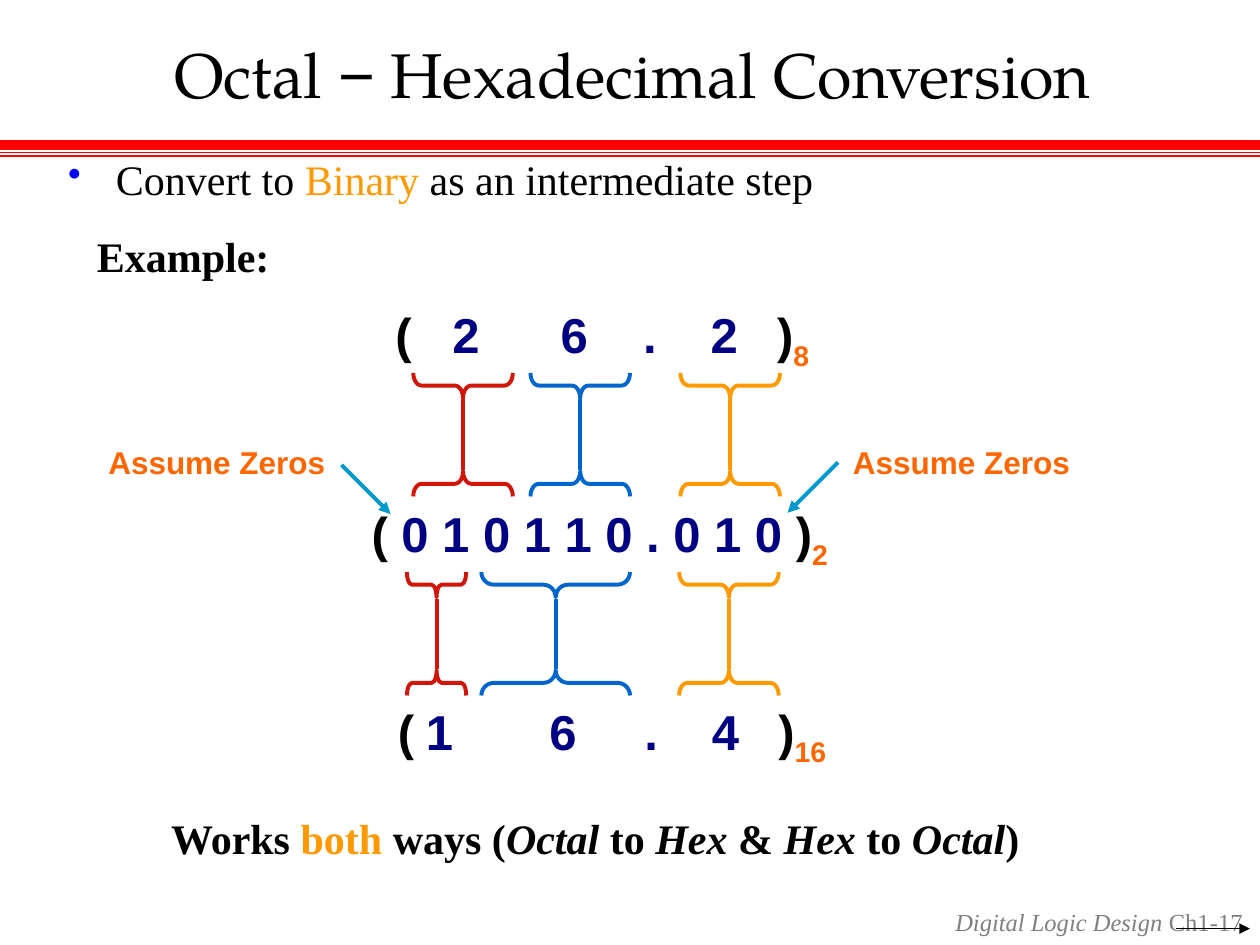
from pptx import Presentation
from pptx.dml.color import RGBColor
from pptx.enum.shapes import MSO_CONNECTOR, MSO_SHAPE
from pptx.enum.text import MSO_ANCHOR, PP_ALIGN
from pptx.util import Inches, Pt
from pptx.oxml.ns import qn
from lxml.etree import SubElement

SERIF, SANS = "Times New Roman", "Arial"
BLACK, NAVY, GOLD, ORANGE = "000000", "000082", "FF9900", "FF6600"
RED, BLUE, CYAN, RULE, GRAY = "D01608", "0066CC", "0099CC", "FF0000", "7F7F7F"


def color(code):
    return RGBColor.from_string(code)


def add_line(slide, start, end, code, width, arrow=False):
    line = slide.shapes.add_connector(
        MSO_CONNECTOR.STRAIGHT, *[Inches(v) for v in (*start, *end)])
    line.line.color.rgb = color(code)
    line.line.width = Pt(width)
    if arrow:
        SubElement(line.line._get_or_add_ln(), qn("a:tailEnd"), type="triangle")
    SubElement(line._element.spPr, qn("a:effectLst"))


def add_text(slide, box, runs, size, font=SERIF, code=BLACK, bold=False,
             align=PP_ALIGN.LEFT, inset=(0.1, 0.05), wrap=True, tabs=(),
             bullet=False):
    """Each run is a pair: its text and a dict of what differs from the rest."""
    shape = slide.shapes.add_textbox(*[Inches(v) for v in box])
    frame = shape.text_frame
    frame.word_wrap = wrap
    frame.margin_left = frame.margin_right = Inches(inset[0])
    frame.margin_top = frame.margin_bottom = Inches(inset[1])
    para = frame.paragraphs[0]
    para.alignment = align
    if bullet:
        add_bullet(para)
    if tabs:
        add_tabs(para, tabs)
    para.font.name, para.font.size, para.font.bold = font, Pt(size), bold
    para.font.color.rgb = color(code)
    for text, diff in runs:
        run = para.add_run()
        run.text = text
        if "code" in diff:
            run.font.color.rgb = color(diff["code"])
        if "font" in diff:
            run.font.name = diff["font"]
        if "italic" in diff:
            run.font.italic = diff["italic"]
        if "base" in diff:
            run._r.get_or_add_rPr().set("baseline", str(diff["base"] * 1000))
    return shape


def add_bullet(para):
    props = para._p.get_or_add_pPr()
    props.set("marL", str(Inches(0.38)))
    props.set("indent", str(Inches(-0.38)))
    SubElement(SubElement(props, qn("a:buClr")), qn("a:srgbClr"), val="0000FF")
    SubElement(props, qn("a:buSzPct"), val="90000")
    SubElement(props, qn("a:buChar"), char="•")


def add_tabs(para, tabs):
    stops = SubElement(para._p.get_or_add_pPr(), qn("a:tabLst"))
    for place, kind in tabs:
        SubElement(stops, qn("a:tab"), pos=str(Inches(place)), algn=kind)


def add_number(slide, box, digits, base, places=()):
    """A number in brackets; places are slide positions of digits and bracket."""
    gap = "\t" if places else " "
    start = box[0] + 0.1
    kinds = ["ctr"] * (len(places) - 1) + ["l"]
    tabs = [(place - start, kind) for place, kind in zip(places, kinds)]
    runs = [("(" + gap, {}),
            (gap.join(digits) + gap, {"code": NAVY}),
            (")", {}),
            (base, {"code": ORANGE, "base": -25})]
    add_text(slide, box, runs, 28, SANS, bold=True, wrap=bool(places), tabs=tabs)


def add_brace(slide, left, top, width, code, turn):
    deep = 0.2
    # The shape is placed upright about its centre, then turned
    brace = slide.shapes.add_shape(
        MSO_SHAPE.LEFT_BRACE, Inches(left + (width - deep) / 2),
        Inches(top + (deep - width) / 2), Inches(deep), Inches(width))
    brace.rotation = turn
    brace.adjustments[0] = width / 12 / deep
    brace.shadow.inherit = False
    brace.fill.background()
    brace.line.color.rgb = color(code)
    brace.line.width = Pt(2.25)


def add_link(slide, left, top, width, code):
    mid = left + width / 2
    add_brace(slide, left, top, width, code, 270)
    add_brace(slide, left, top + 0.78, width, code, 90)
    add_line(slide, (mid, top + 0.21), (mid, top + 0.77), code, 2.25)


def main():
    deck = Presentation()
    deck.slide_width, deck.slide_height = Inches(10), Inches(7.5)
    slide = deck.slides.add_slide(deck.slide_layouts[6])

    # Rules under the title
    for y, width in ((1.15, 6), (1.21, 1), (1.24, 1)):
        add_line(slide, (0, y), (10, y), RULE, width)

    # Footer
    add_text(slide, (7.45, 7.15, 2.51, 0.34),
             [("Digital Logic Design ", {"italic": True}), ("Ch1", {}),
              ("-", {"italic": True}), ("17", {})],
             14, code=GRAY, align=PP_ALIGN.RIGHT)
    add_line(slide, (9.33, 7.37), (9.92, 7.37), BLACK, 0.75, arrow=True)

    # Title and lead text
    title = add_text(slide, (0.33, 0.25, 9.38, 0.67),
                     [("Octal ", {}), ("−", {"font": SANS}),
                      (" Hexadecimal Conversion", {})],
                     36, "TeX Gyre Pagella", align=PP_ALIGN.CENTER, inset=(0, 0))
    title.text_frame.vertical_anchor = MSO_ANCHOR.MIDDLE
    add_text(slide, (0.47, 1.19, 9.25, 0.52),
             [("Convert to ", {}), ("Binary", {"code": GOLD}),
              (" as an intermediate step", {})],
             24, inset=(0.07, 0.03), bullet=True)
    add_text(slide, (0.67, 1.78, 1.57, 0.5), [("Example:", {})], 24,
             bold=True, wrap=False)

    # Octal, binary and hexadecimal numbers
    add_number(slide, (3.04, 2.37, 3.7, 0.63), "26.2", "8",
               (3.7, 4.56, 5.16, 5.75, 6.17))
    add_number(slide, (2.85, 3.95, 3.82, 0.63), "010110.010", "2")
    add_number(slide, (3.06, 5.52, 3.7, 0.63), "16.4", "16",
               (3.49, 4.47, 5.17, 5.76, 6.18))

    # Braces that tie digit groups together
    for top, spans in ((2.96, ((3.28, 0.79), (4.21, 0.79), (5.4, 0.79))),
                       (4.54, ((3.23, 0.47), (3.82, 1.18), (5.39, 0.79)))):
        for (left, width), code in zip(spans, (RED, BLUE, GOLD)):
            add_link(slide, left, top, width, code)

    # Notes on the padding zeros
    for left, start, end in ((0.86, (2.71, 3.69), (3.1, 4.08)),
                             (6.77, (6.65, 3.67), (6.25, 4.07))):
        note = add_text(slide, (left, 3.55, 1.97, 0.27), [("Assume Zeros", {})],
                        18, SANS, ORANGE, bold=True, inset=(0, 0))
        note.text_frame.paragraphs[0].line_spacing = 0.9
        add_line(slide, start, end, CYAN, 2.25, arrow=True)

    # Closing remark
    slant = {"italic": True}
    add_text(slide, (1.26, 6.4, 7.88, 0.5),
             [("Works ", {}), ("both", {"code": GOLD}), (" ways (", {}),
              ("Octal", slant), (" to ", {}), ("Hex", slant), (" & ", {}),
              ("Hex ", slant), ("to ", {}), ("Octal", slant), (")", {})],
             24, bold=True)

    deck.save("out.pptx")


if __name__ == "__main__":
    main()
